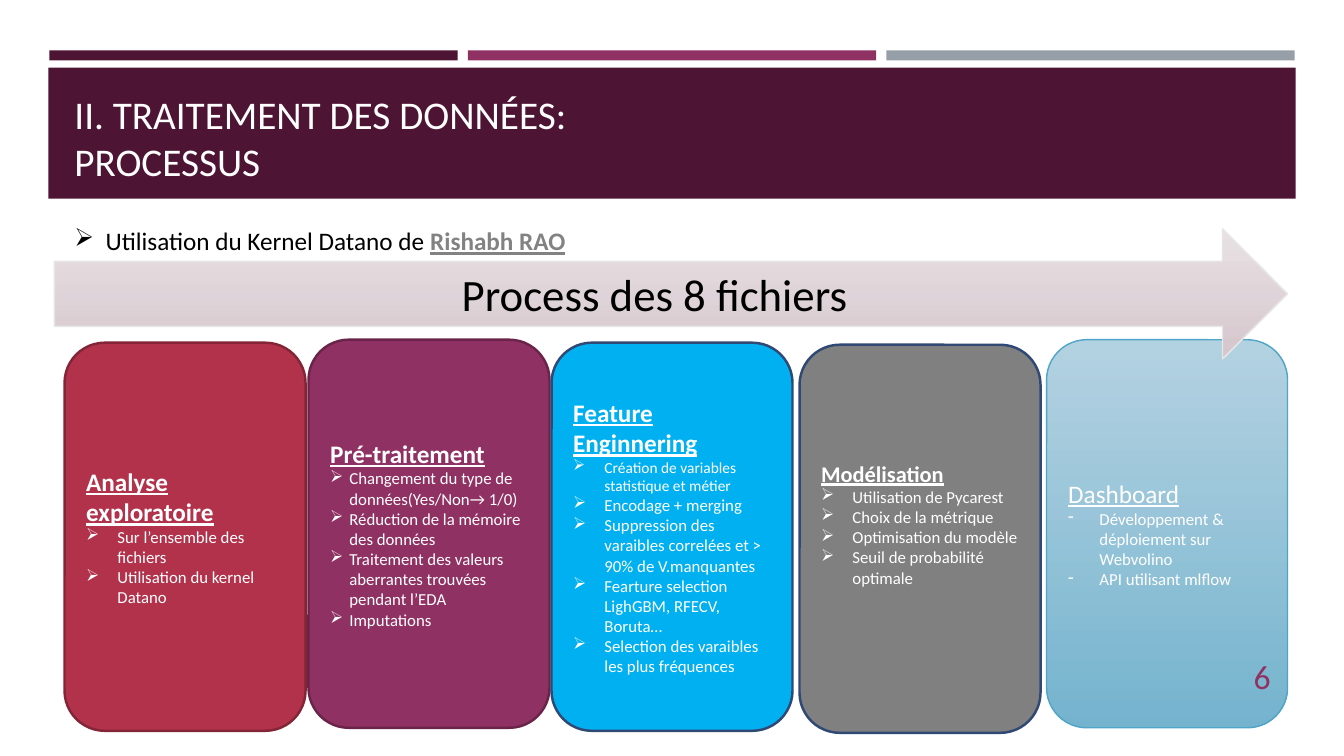
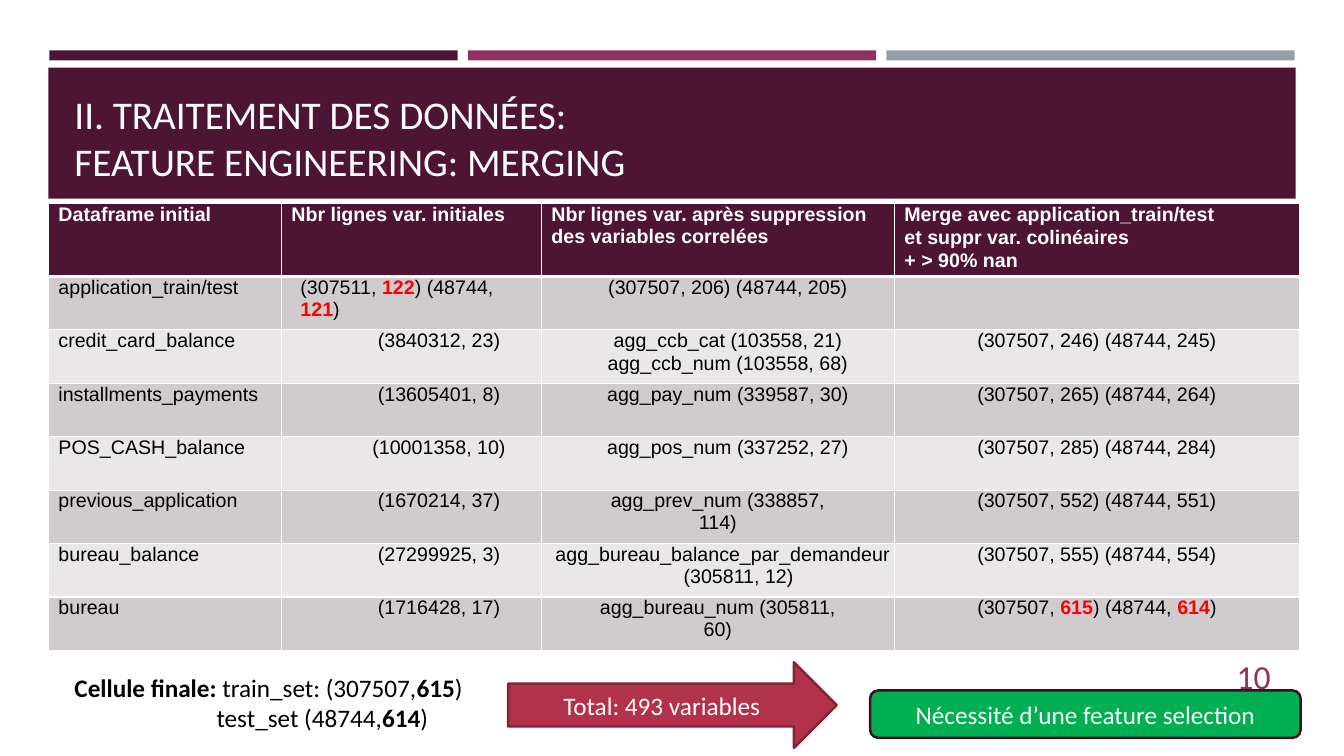
from dataclasses import dataclass

from lxml import etree
from pptx import Presentation
from pptx.dml.color import RGBColor
from pptx.enum.shapes import MSO_SHAPE
from pptx.enum.text import MSO_ANCHOR, PP_ALIGN
from pptx.oxml.ns import qn
from pptx.util import Inches, Pt

RECT, ROUND, ARROW = MSO_SHAPE.RECTANGLE, MSO_SHAPE.ROUNDED_RECTANGLE, MSO_SHAPE.RIGHT_ARROW
LEFT, CENTER, RIGHT = PP_ALIGN.LEFT, PP_ALIGN.CENTER, PP_ALIGN.RIGHT
TOP, MIDDLE, BOTTOM = MSO_ANCHOR.TOP, MSO_ANCHOR.MIDDLE, MSO_ANCHOR.BOTTOM


@dataclass(frozen=True)
class Theme:
    font: str = "Calibri"
    table_font: str = "Arial"
    plum: str = "4D1434"
    purple: str = "903163"
    steel: str = "969FA7"
    crimson: str = "B2324B"
    crimson_edge: str = "842537"
    purple_edge: str = "6B2449"
    navy: str = "2F4874"
    blue: str = "00B0F0"
    gray: str = "808080"
    link: str = "828282"
    sky: tuple = ("ACCEDF", "75B4CF")
    sky_edge: str = "4FA5C7"
    mist: tuple = ("E7DFE2", "D6C7CD")
    mist_edge: str = "E6E6E6"
    green: str = "00B050"
    green_edge: str = "390F26"
    bands: tuple = ("E9E7E8", "D0CCCE")
    white: str = "FFFFFF"
    black: str = "000000"
    red: str = "FF0000"
    title: int = 28
    banner: int = 32
    number: int = 24
    body: int = 18
    cell: int = 14
    small: int = 12


T = Theme()


def write(tf, text, size=T.body, color=T.black, font=T.font, bold=False, underline=False,
          align=LEFT, left=0, right=0, hang=0, bullet=None, before=0, accent=None):
    """Add a paragraph; parts between asterisks are bold, with the accent colour if given."""
    p = tf.paragraphs[0]
    if p.runs:
        p = tf.add_paragraph()
    p.alignment = align
    p.space_before = Pt(before)
    pPr = p._p.get_or_add_pPr()
    for name, value in (("marL", left), ("marR", right), ("indent", -hang)):
        pPr.set(name, str(Inches(value)))
    if bullet:
        etree.SubElement(pPr, qn("a:buChar")).set("char", bullet)
    for i, part in enumerate(text.split("*")):
        if not part:
            continue
        marked = i % 2 == 1
        r = p.add_run()
        r.text = part
        r.font.name, r.font.size = font, Pt(size)
        r.font.bold = bold or marked
        r.font.underline = underline or (marked and accent == T.link)
        r.font.color.rgb = RGBColor.from_string(accent if marked and accent else color)


def add_box(s, box, kind=None, fill=None, line=None, weight=1.75, anchor=MIDDLE):
    """Add a text box, or a preset shape with a plain or two-colour fill."""
    box = [Inches(v) for v in box]
    if kind is None:
        sp = s.shapes.add_textbox(*box)
    else:
        sp = s.shapes.add_shape(kind, *box)
        sp.shadow.inherit = False
        if isinstance(fill, tuple):
            sp.fill.gradient()
            sp.fill.gradient_angle = 270
            for stop, color in zip(sp.fill.gradient_stops, fill):
                stop.color.rgb = RGBColor.from_string(color)
            first = next(sp.element.spPr.iter(qn("a:srgbClr")))
            etree.SubElement(first, qn("a:alpha")).set("val", "90000")
        else:
            sp.fill.solid()
            sp.fill.fore_color.rgb = RGBColor.from_string(fill)
        if line:
            sp.line.color.rgb = RGBColor.from_string(line)
            sp.line.width = Pt(weight)
        else:
            sp.line.fill.background()
    sp.text_frame.word_wrap = True
    sp.text_frame.vertical_anchor = anchor
    return sp


prs = Presentation()
prs.slide_width, prs.slide_height = Inches(13.33), Inches(7.5)

# Shared frame
slides = []
for title in ("PROCESSUS", "FEATURE ENGINEERING: MERGING"):
    s = prs.slides.add_slide(prs.slide_layouts[6])
    for i, color in enumerate((T.plum, T.purple, T.steel)):
        add_box(s, (0.49 + 4.15 * i, 0.5, 4.05, 0.1), RECT, color)
    add_box(s, (0.48, 0.67, 12.37, 1.3), RECT, T.plum)
    tf = add_box(s, (0.64, 0.77, 12.06, 1.11), anchor=BOTTOM).text_frame
    for text in ("II. TRAITEMENT DES DONNÉES:", title):
        write(tf, text, size=T.title, color=T.white)
    slides.append(s)
process, merging = slides

# Process: one card per step
tf = add_box(process, (0.64, 2.19, 5.31, 0.4), anchor=TOP).text_frame
write(tf, "Utilisation du Kernel Datano de *Rishabh RAO*", left=0.31, hang=0.31,
      bullet="➢", accent=T.link)

cards = [
    (0.64, 3.4, T.crimson, T.crimson_edge, "Analyse exploratoire",
     ["Sur l’ensemble des fichiers", "Utilisation du kernel Datano"], {}),
    (3.06, 3.37, T.purple, T.purple_edge, "Pré-traitement",
     ["Changement du type de données(Yes/Non→ 1/0)", "Réduction de la mémoire des données",
      "Traitement des valeurs aberrantes trouvées pendant l’EDA", "Imputations"],
     {"indent": 0.19}),
    (5.47, 3.4, T.blue, T.navy, "Feature Enginnering",
     ["Création de variables statistique et métier", "Encodage + merging",
      "Suppression des varaibles correlées et > 90% de V.manquantes",
      "Fearture selection LighGBM, RFECV, Boruta…",
      "Selection des varaibles les plus fréquences"], {"first": 11}),
    (7.93, 3.42, T.gray, T.navy, "Modélisation",
     ["Utilisation de Pycarest", "Choix de la métrique", "Optimisation du modèle",
      "Seuil de probabilité optimale"], {"heading": 16, "bottom": 0.35}),
    (10.38, 3.37, T.sky, T.sky_edge, "Dashboard",
     ["Développement & déploiement sur Webvolino", "API utilisant mlflow"],
     {"bold": False, "bullet": "-", "weight": 1}),
]
for x, y, fill, line, heading, items, opts in cards:
    tf = add_box(process, (x, y, 2.39, 3.85), ROUND, fill, line,
                 opts.get("weight", 1.75)).text_frame
    tf.margin_bottom = Inches(opts.get("bottom", 0.05))
    write(tf, heading, size=opts.get("heading", T.body), color=T.white,
          bold=opts.get("bold", True), underline=True)
    indent = opts.get("indent", 0.31)
    for i, item in enumerate(items):
        size = opts.get("first", T.small) if i == 0 else T.small
        write(tf, item, size=size, color=T.white, left=indent, hang=indent,
              bullet=opts.get("bullet", "➢"))

tf = add_box(process, (0.54, 2.27, 12.23, 1.29), ARROW, T.mist, T.mist_edge, 1, TOP).text_frame
write(tf, "Process des 8 fichiers", size=T.banner, align=CENTER)

# Merging: table of dataframes
rows = [
    ("Dataframe initial", "Nbr lignes var. initiales",
     "Nbr lignes var. après suppression des variables correlées",
     "Merge avec application_train/test\net suppr var. colinéaires\n+ > 90% nan"),
    ("application_train/test", "(307511, *122*) (48744, *121*)", "(307507, 206) (48744, 205)", ""),
    ("credit_card_balance", "(3840312, 23)",
     "agg_ccb_cat (103558, 21)\nagg_ccb_num (103558, 68)", "(307507, 246) (48744, 245)"),
    ("installments_payments", "(13605401, 8)", "agg_pay_num (339587, 30)",
     "(307507, 265) (48744, 264)"),
    ("POS_CASH_balance", "(10001358, 10)", "agg_pos_num (337252, 27)",
     "(307507, 285) (48744, 284)"),
    ("previous_application", "(1670214, 37)", "agg_prev_num (338857, 114)",
     "(307507, 552) (48744, 551)"),
    ("bureau_balance", "(27299925, 3)", "agg_bureau_balance_par_demandeur (305811, 12)",
     "(307507, 555) (48744, 554)"),
    ("bureau", "(1716428, 17)", "agg_bureau_num (305811, 60)",
     "(307507, *615*) (48744, *614*)"),
]
column_formats = [
    dict(left=0.1),
    dict(left=0.55, align=CENTER),
    dict(left=0.2, align=CENTER),
    dict(left=0.11, right=0.11, align=CENTER),
]
narrow = dict(left=0.49, right=0.49, align=CENTER)
cell_formats = {
    (1, 1): dict(left=0.19, right=0.19),
    (5, 2): narrow,
    (6, 2): dict(left=1.41, hang=1.27),
    (7, 2): narrow,
}
widths = (2.31, 2.58, 3.5, 4.02)
table = merging.shapes.add_table(len(rows), len(widths), Inches(0.48), Inches(2.02),
                                 Inches(sum(widths)), Inches(4.39)).table
for column, width in zip(table.columns, widths):
    column.width = Inches(width)
for i, row in enumerate(rows):
    header = i == 0
    table.rows[i].height = Inches(0.68 if header else 0.53)
    for j, text in enumerate(row):
        cell = table.cell(i, j)
        cell.margin_left = cell.margin_right = cell.margin_top = cell.margin_bottom = 0
        tcPr = cell._tc.get_or_add_tcPr()
        for side in ("lnL", "lnR", "lnT", "lnB"):
            thick = (header and side == "lnB") or (i == 1 and side == "lnT")
            ln = etree.SubElement(tcPr, qn(f"a:{side}"), w=str(Pt(3 if thick else 1)))
            solid = etree.SubElement(ln, qn("a:solidFill"))
            etree.SubElement(solid, qn("a:srgbClr"), val=T.white)
        cell.fill.solid()
        cell.fill.fore_color.rgb = RGBColor.from_string(T.plum if header else T.bands[i % 2])
        fmt = column_formats[0] if header else cell_formats.get((i, j), column_formats[j])
        for k, line in enumerate(text.split("\n")):
            write(cell.text_frame, line, size=T.cell, font=T.table_font, bold=header,
                  color=T.white if header else T.black, accent=T.red,
                  before=0.8 if k else 3.8, **fmt)

# Merging: conclusion
tf = add_box(merging, (0.64, 6.62, 4.4, 0.71), anchor=TOP).text_frame
write(tf, "*Cellule finale: *train_set: (307507,*615*)")
write(tf, "test_set (48744,*614*)", left=1.41)
for box, kind, fill, line, text in (
    ((5.04, 6.57, 3.26, 0.85), ARROW, T.crimson, T.crimson_edge, "Total: 493 variables"),
    ((8.63, 6.85, 4.27, 0.47), ROUND, T.green, T.green_edge, "Nécessité d’une feature selection"),
):
    tf = add_box(merging, box, kind, fill, line).text_frame
    write(tf, text, color=T.white, align=CENTER)

# Slide numbers
for s, number in ((process, "6"), (merging, "10")):
    tf = add_box(s, (11.55, 6.51, 1.15, 0.4)).text_frame
    write(tf, number, size=T.number, color=T.purple, align=RIGHT)

prs.save("out.pptx")
